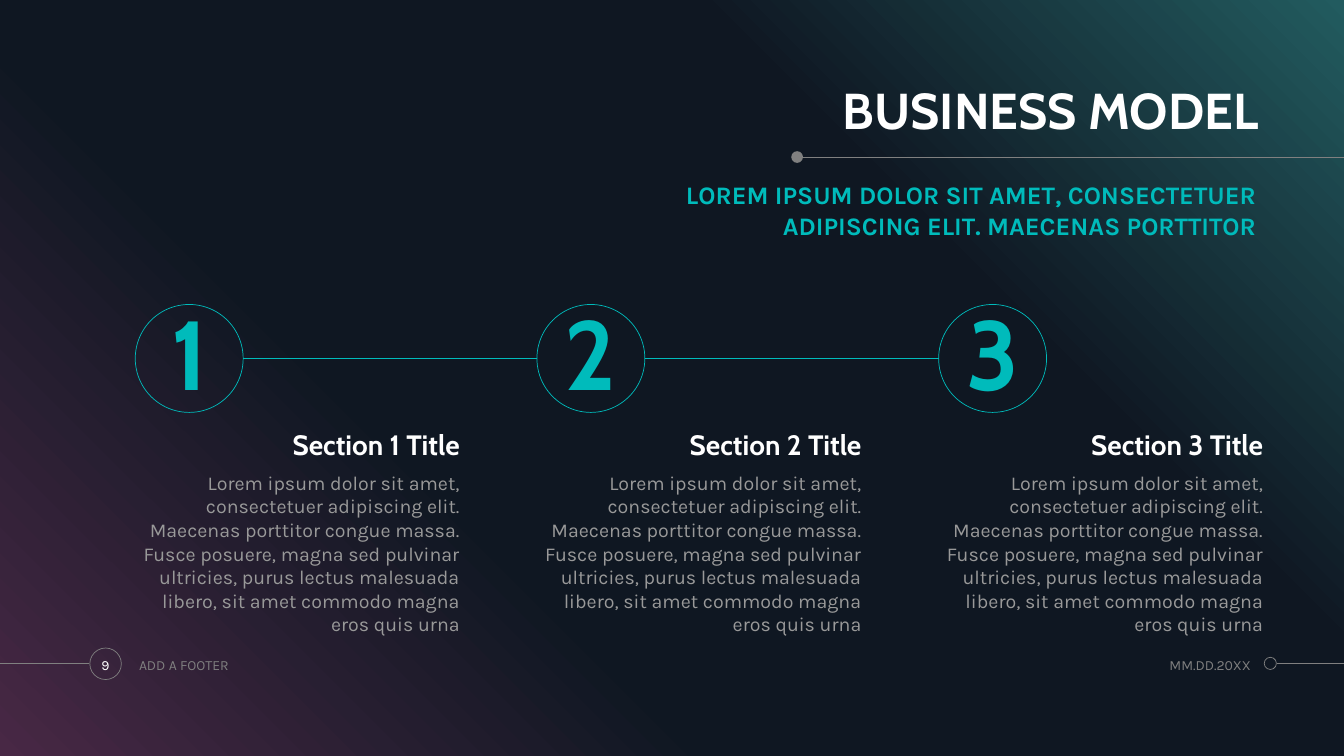
from dataclasses import dataclass

from lxml import etree
from pptx import Presentation
from pptx import util as u
from pptx.dml.color import RGBColor
from pptx.enum import shapes, text
from pptx.oxml import parse_xml
from pptx.oxml.ns import nsdecls, qn

LEFT, CENTER, RIGHT = text.PP_ALIGN.LEFT, text.PP_ALIGN.CENTER, text.PP_ALIGN.RIGHT
TOP, MIDDLE, BOTTOM = text.MSO_ANCHOR.TOP, text.MSO_ANCHOR.MIDDLE, text.MSO_ANCHOR.BOTTOM


@dataclass(frozen=True)
class Theme:
    heading_font: str = "Cabin"
    body_font: str = "Karla"
    white: str = "FFFFFF"
    teal: str = "00BBBB"
    gray: str = "808080"
    light_gray: str = "999999"
    backdrop: tuple = ((0, "482845"), (34, "0F1722"), (69, "0F1722"), (100, "225B5F"))
    backdrop_angle: int = 315
    title_size: int = 36
    subtitle_size: int = 18
    number_size: int = 70
    section_size: int = 20
    body_size: int = 14
    footer_size: int = 10
    hairline: float = 0.5


class SlideBuilder:
    COLUMNS, ROWS = 160, 90

    def __init__(self, deck, layout, theme):
        self.theme = theme
        self.column = deck.slide_width / self.COLUMNS
        self.row = deck.slide_height / self.ROWS
        self.slide = deck.slides.add_slide(layout)
        self.shapes = self.slide.shapes

    def area(self, col, row, cols, rows):
        return (round(col * self.column), round(row * self.row),
                round(cols * self.column), round(rows * self.row))

    def backdrop(self):
        panel = self.shapes.add_shape(shapes.MSO_SHAPE.RECTANGLE,
                                      *self.area(0, 0, self.COLUMNS, self.ROWS))
        panel.shadow.inherit = False
        panel.line.fill.background()
        panel.fill.gradient()
        stops = "".join(f'<a:gs pos="{share * 1000}"><a:srgbClr val="{color}"/></a:gs>'
                        for share, color in self.theme.backdrop)
        gradient = parse_xml(
            f'<a:gradFill {nsdecls("a")} rotWithShape="1"><a:gsLst>{stops}</a:gsLst>'
            f'<a:lin ang="{self.theme.backdrop_angle * 60000}" scaled="0"/></a:gradFill>')
        properties = panel._element.spPr
        properties.replace(properties.find(qn("a:gradFill")), gradient)
        self.shapes._spTree.insert(2, panel._element)

    def rule(self, start, end, row, color):
        left, top, width, _ = self.area(start, row, end - start, 0)
        line = self.shapes.add_connector(shapes.MSO_CONNECTOR.STRAIGHT,
                                         left, top, left + width, top)
        line.line.color.rgb = RGBColor.from_string(color)
        line.line.width = u.Pt(self.theme.hairline)
        etree.SubElement(line._element.spPr, qn("a:effectLst"))

    def circle(self, col, row, size, color, filled=False):
        ring = self.shapes.add_shape(shapes.MSO_SHAPE.OVAL, *self.area(col, row, size, size))
        ring.shadow.inherit = False
        if filled:
            ring.fill.solid()
            ring.fill.fore_color.rgb = RGBColor.from_string(color)
            ring.line.fill.background()
        else:
            ring.fill.background()
            ring.line.color.rgb = RGBColor.from_string(color)
            ring.line.width = u.Pt(self.theme.hairline)
        return ring

    def set_text(self, holder, wording, size, font, color, align, anchor, bold=False, spacing=1.0):
        frame = holder.text_frame
        frame.text = wording
        frame.word_wrap = True
        frame.auto_size = text.MSO_AUTO_SIZE.NONE
        frame.vertical_anchor = anchor
        frame.margin_left = frame.margin_right = frame.margin_top = frame.margin_bottom = 0
        paragraph = frame.paragraphs[0]
        if holder.is_placeholder:
            properties = paragraph._p.get_or_add_pPr()
            properties.set("marL", "0")
            properties.set("indent", "0")
            etree.SubElement(properties, qn("a:buNone"))
        paragraph.alignment = align
        paragraph.line_spacing = spacing
        paragraph.space_before = u.Pt(0)
        paragraph.font.size = u.Pt(size)
        paragraph.font.name = font
        paragraph.font.bold = bold
        paragraph.font.color.rgb = RGBColor.from_string(color)

    def placeholder(self, index, area, wording, *style, **options):
        holder = self.slide.placeholders[index]
        holder.left, holder.top, holder.width, holder.height = self.area(*area)
        self.set_text(holder, wording, *style, **options)

    def label(self, area, wording, *style, **options):
        self.set_text(self.shapes.add_textbox(*self.area(*area)), wording, *style, **options)


def main():
    deck = Presentation()
    deck.slide_width, deck.slide_height = u.Inches(13.33), u.Inches(7.5)
    theme = Theme()
    page = SlideBuilder(deck, deck.slide_layouts.get_by_name("Comparison"), theme)
    page.backdrop()

    page.rule(95.3, 160, 18.7, theme.gray)
    page.circle(94.2, 18, 1.4, theme.gray, filled=True)
    page.placeholder(0, (67, 9.25, 82.8, 7.45), "BUSINESS MODEL", theme.title_size,
                     theme.heading_font, theme.white, RIGHT, BOTTOM, bold=True, spacing=0.9)
    page.placeholder(1, (67, 21.4, 82.55, 7.45),
                     "LOREM IPSUM DOLOR SIT AMET, CONSECTETUER ADIPISCING ELIT. "
                     "MAECENAS PORTTITOR", theme.subtitle_size, theme.body_font,
                     theme.teal, RIGHT, TOP, bold=True)

    description = ("Lorem ipsum dolor sit amet, consectetuer adipiscing elit. Maecenas porttitor "
                   "congue massa. Fusce posuere, magna sed pulvinar ultricies, purus lectus "
                   "malesuada libero, sit amet commodo magna eros quis urna")
    first, step, width, ring_size, ring_top = 16.1, 47.82, 38.65, 12.85, 36.25
    for number in (1, 2, 3):
        left = first + (number - 1) * step
        if number > 1:
            page.rule(left - step + ring_size, left, ring_top + ring_size / 2, theme.teal)
        ring = page.circle(left, ring_top, ring_size, theme.teal)
        page.set_text(ring, str(number), theme.number_size, theme.heading_font, theme.teal,
                      CENTER, MIDDLE, bold=True, spacing=0.9)
        page.label((left, 50.65, width, 4.3), f"Section {number} Title", theme.section_size,
                   theme.heading_font, theme.white, RIGHT, BOTTOM, bold=True, spacing=0.9)
        page.placeholder(number + 1, (left, 56.05, width, 18.6), description, theme.body_size,
                         theme.body_font, theme.light_gray, RIGHT, TOP)

    page.rule(0, 10.6, 79, theme.gray)
    page.circle(10.7, 77.15, 3.75, theme.gray)
    page.rule(152, 160, 79, theme.gray)
    page.circle(150.5, 78.25, 1.45, theme.gray)
    for area, wording, color, align in (
            ((10.2, 77.15, 4.7, 4), "9", theme.white, CENTER),
            ((16.55, 77.15, 35.9, 4), "ADD A FOOTER", theme.gray, LEFT),
            ((131.4, 77.15, 17.5, 4), "MM.DD.20XX", theme.gray, RIGHT)):
        page.label(area, wording, theme.footer_size, theme.body_font, color, align, MIDDLE)

    deck.save("out.pptx")


if __name__ == "__main__":
    main()
